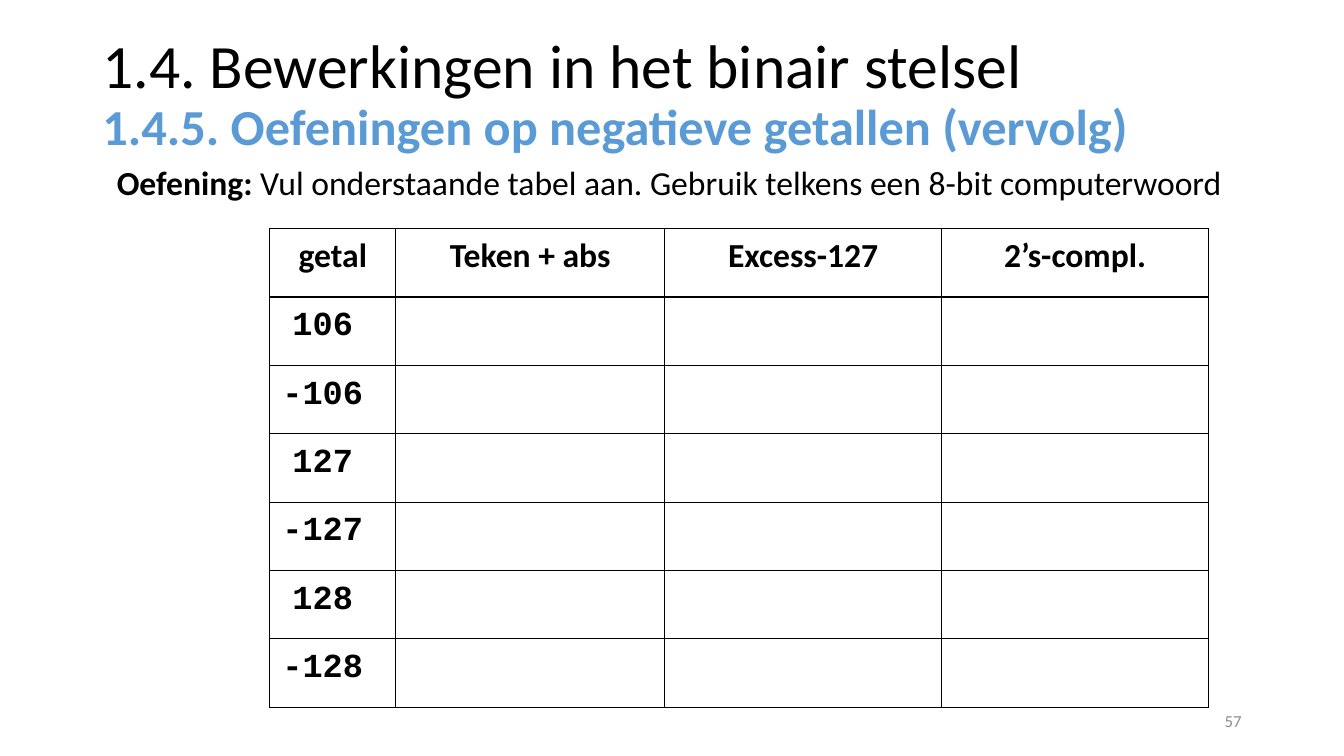
import pptx
import pptx.dml.color
import pptx.enum.text
import pptx.oxml
import pptx.oxml.ns
import pptx.util

Pt = pptx.util.Pt
ALIGN = pptx.enum.text.PP_ALIGN
ANCHOR = pptx.enum.text.MSO_ANCHOR
BLACK, WHITE, BLUE, GRAY = "000000", "FFFFFF", "5B9BD5", "8C8C8C"

HEADERS = ["getal", "Teken + abs", "Excess-127", "2’s-compl."]
NUMBERS = [106, -106, 127, -127, 128, -128]
COLUMN_WIDTHS = [90, 192, 198, 190.5]


def color(value):
    return pptx.dml.color.RGBColor.from_string(value)


def set_attributes(target, values):
    for name, value in values.items():
        setattr(target, name, value)


def add_run(paragraph, text, size, fill=BLACK, bold=False, font="Calibri"):
    run = paragraph.add_run()
    run.text = text
    set_attributes(run.font, {"size": Pt(size), "bold": bold, "name": font})
    run.font.color.rgb = color(fill)


def place(shape, box, anchor):
    """Moves a text shape to box (left, top, width, height) and returns its first paragraph."""
    set_attributes(shape, dict(zip(("left", "top", "width", "height"), map(Pt, box))))
    set_attributes(shape.text_frame, {
        "word_wrap": True,
        "auto_size": pptx.enum.text.MSO_AUTO_SIZE.NONE,
        "vertical_anchor": anchor,
    })
    return shape.text_frame.paragraphs[0]


def add_title(slide, box):
    paragraph = place(slide.shapes.title, box, ANCHOR.MIDDLE)
    set_attributes(paragraph, {"alignment": ALIGN.LEFT, "line_spacing": 0.9})
    add_run(paragraph, "1.4. Bewerkingen in het binair stelsel ", 44)
    paragraph.add_line_break()
    add_run(paragraph, "1.4.5. Oefeningen op negatieve getallen (vervolg)", 36, BLUE, True)


def add_assignment(slide, box):
    paragraph = place(slide.shapes.add_textbox(0, 0, 0, 0), box, ANCHOR.TOP)
    set_attributes(paragraph, {"line_spacing": 0.9, "space_before": Pt(10)})
    properties = paragraph._p.get_or_add_pPr()
    properties.set("marL", str(Pt(18)))
    properties.set("indent", str(-Pt(18)))
    add_run(paragraph, "Oefening: ", 24, bold=True)
    add_run(paragraph, "Vul onderstaande tabel aan. Gebruik telkens een 8-bit computerwoord", 24)


def add_borders(cell):
    properties = cell._tc.get_or_add_tcPr()
    for index, side in enumerate(("lnL", "lnR", "lnT", "lnB")):
        border = pptx.oxml.parse_xml(
            f'<a:{side} {pptx.oxml.ns.nsdecls("a")} w="{Pt(1)}"><a:solidFill>'
            f'<a:srgbClr val="{BLACK}"/></a:solidFill></a:{side}>')
        properties.insert(index, border)


def add_number_table(slide, box):
    row_count = len(NUMBERS) + 1
    table = slide.shapes.add_table(row_count, len(HEADERS), *map(Pt, box)).table
    set_attributes(table, {"first_row": False, "horz_banding": False})
    for column, width in zip(table.columns, COLUMN_WIDTHS):
        column.width = Pt(width)
    for row in table.rows:
        row.height = Pt(box[3] / row_count)
    for cell in table.iter_cells():
        cell.fill.background()
        add_borders(cell)
    for column, header in enumerate(HEADERS):
        cell = table.cell(0, column)
        cell.fill.solid()
        cell.fill.fore_color.rgb = color(WHITE)
        set_attributes(cell, {"margin_left": Pt(9.4), "margin_right": Pt(9.4),
                              "margin_top": Pt(5), "margin_bottom": Pt(5)})
        paragraph = cell.text_frame.paragraphs[0]
        paragraph.alignment = ALIGN.CENTER
        add_run(paragraph, header, 24, bold=True)
    for row, number in enumerate(NUMBERS, start=1):
        paragraph = table.cell(row, 0).text_frame.paragraphs[0]
        set_attributes(paragraph, {"alignment": ALIGN.CENTER, "line_spacing": 1.15,
                                   "space_after": Pt(10)})
        add_run(paragraph, f"{number} ", 24, bold=True, font="Courier New")


def add_slide_number(slide, box):
    paragraph = place(slide.shapes.add_textbox(0, 0, 0, 0), box, ANCHOR.MIDDLE)
    paragraph.alignment = ALIGN.RIGHT
    add_run(paragraph, "57", 12, GRAY)


def main():
    presentation = pptx.Presentation()
    set_attributes(presentation, {"slide_width": Pt(960), "slide_height": Pt(540)})
    slide = presentation.slides.add_slide(presentation.slide_layouts.get_by_name("Title Only"))
    add_title(slide, (66, 16.5, 828, 104.4))
    add_assignment(slide, (76.3, 115.2, 853.2, 388.8))
    add_number_table(slide, (192.7, 163.3, sum(COLUMN_WIDTHS), 342))
    add_slide_number(slide, (678, 500.5, 216, 28.8))
    presentation.save("out.pptx")


if __name__ == "__main__":
    main()
